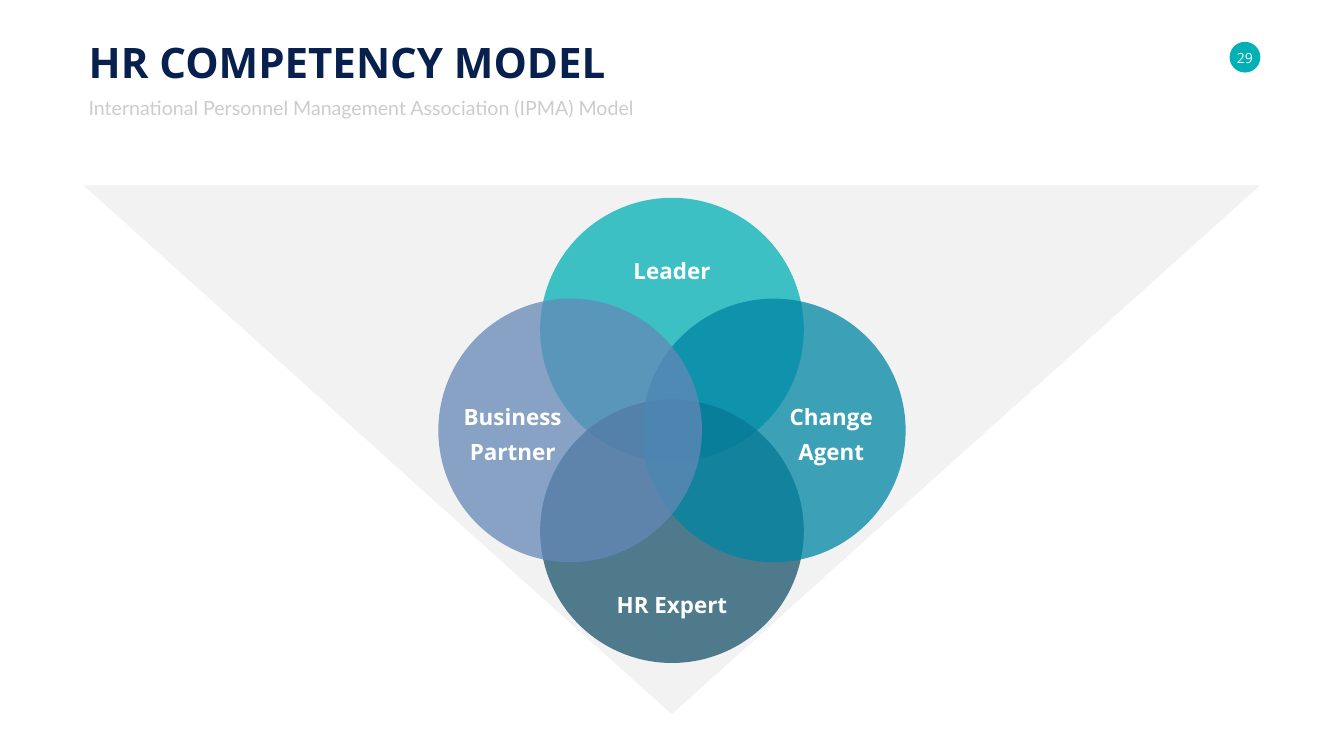
from dataclasses import dataclass

from lxml import etree
from pptx import Presentation
from pptx import util as u
from pptx.dml.color import RGBColor
from pptx.enum import shapes, text
from pptx.oxml.ns import qn

COLORS = {
    "teal": "00B0B5",
    "slate": "18526A",
    "ocean": "0085A4",
    "periwinkle": "6488B7",
    "navy": "08204D",
    "silver": "CCCCCC",
    "pale": "F2F2F2",
    "white": "FFFFFF",
}
CENTER_X, CENTER_Y = 13.33, 8.54
DIAMETER = 5.23
OPACITY = 75


@dataclass
class Competency:
    """A circle and its label, both placed relative to the diagram's centre."""
    label: str
    color: str
    circle_offset: tuple[float, float]
    label_offset: tuple[float, float]
    label_size: tuple[float, float]


@dataclass
class TextStyle:
    size: int
    color: str
    font: str = "Open Sans"
    bold: bool = False
    align: text.PP_ALIGN = text.PP_ALIGN.LEFT
    anchor: text.MSO_ANCHOR = text.MSO_ANCHOR.TOP
    line_spacing: int | None = None
    margins: bool = True


COMPETENCIES = [
    Competency("Leader", "teal", (0, -2), (0, -3.25), (1.74, 0.74)),
    Competency("HR Expert", "slate", (0, 2), (0, 3.38), (2.42, 0.74)),
    Competency("Change\nAgent", "ocean", (2.02, 0), (3.16, 0), (1.87, 1.44)),
    Competency("Business\nPartner", "periwinkle", (-2.02, 0), (-3.16, 0), (2.16, 1.44)),
]

TITLE = TextStyle(60, "navy", bold=True)
SUBTITLE = TextStyle(28, "silver", font="Lato", line_spacing=35)
NUMBER = TextStyle(20, "white", align=text.PP_ALIGN.CENTER,
                   anchor=text.MSO_ANCHOR.MIDDLE, margins=False)
LABEL = TextStyle(32, "white", bold=True, align=text.PP_ALIGN.CENTER,
                  anchor=text.MSO_ANCHOR.MIDDLE, line_spacing=50)


def add_filled_shape(slide, kind, left: float, top: float, width: float,
                     height: float, color: str, opacity: int = 100):
    shape = slide.shapes.add_shape(kind, u.Inches(left), u.Inches(top),
                                   u.Inches(width), u.Inches(height))
    shape.shadow.inherit = False
    shape.line.fill.background()
    shape.fill.solid()
    shape.fill.fore_color.rgb = RGBColor.from_string(COLORS[color])
    if opacity < 100:
        color_element = shape._element.spPr.find(qn("a:solidFill"))[0]
        etree.SubElement(color_element, qn("a:alpha"), val=str(opacity * 1000))
    return shape


def add_text(slide, content: str, left: float, top: float, width: float,
             height: float, style: TextStyle) -> None:
    box = slide.shapes.add_textbox(u.Inches(left), u.Inches(top),
                                   u.Inches(width), u.Inches(height))
    frame = box.text_frame
    frame.text = content
    frame.word_wrap = False
    frame.auto_size = text.MSO_AUTO_SIZE.SHAPE_TO_FIT_TEXT
    frame.vertical_anchor = style.anchor
    if not style.margins:
        frame.margin_left = frame.margin_right = 0
        frame.margin_top = frame.margin_bottom = 0
    for paragraph in frame.paragraphs:
        paragraph.alignment = style.align
        if style.line_spacing:
            paragraph.line_spacing = u.Pt(style.line_spacing)
        for run in paragraph.runs:
            run.font.name = style.font
            run.font.size = u.Pt(style.size)
            run.font.bold = style.bold
            run.font.color.rgb = RGBColor.from_string(COLORS[style.color])


def add_circle(slide, competency: Competency) -> None:
    dx, dy = competency.circle_offset
    add_filled_shape(slide, shapes.MSO_SHAPE.OVAL,
                     CENTER_X + dx - DIAMETER / 2, CENTER_Y + dy - DIAMETER / 2,
                     DIAMETER, DIAMETER, competency.color, OPACITY)


def add_label(slide, competency: Competency) -> None:
    dx, dy = competency.label_offset
    width, height = competency.label_size
    add_text(slide, competency.label, CENTER_X + dx - width / 2,
             CENTER_Y + dy - height / 2, width, height, LABEL)


def main() -> None:
    presentation = Presentation()
    presentation.slide_width = u.Inches(26.66)
    presentation.slide_height = u.Inches(15)
    slide = presentation.slides.add_slide(presentation.slide_layouts[6])

    # Page number badge
    add_filled_shape(slide, shapes.MSO_SHAPE.OVAL, 24.39, 0.83, 0.61, 0.61, "teal")
    add_text(slide, "29", 24.52, 0.97, 0.35, 0.34, NUMBER)

    # Heading
    add_text(slide, "HR COMPETENCY MODEL", 1.66, 0.67, 10.56, 1.11, TITLE)
    add_text(slide, "International Personnel Management Association (IPMA) Model",
             1.66, 1.84, 11.07, 0.55, SUBTITLE)

    # Downward triangle behind the diagram
    triangle = add_filled_shape(slide, shapes.MSO_SHAPE.ISOSCELES_TRIANGLE,
                                1.66, 3.68, 23.33, 10.49, "pale")
    triangle.rotation = 180

    # Overlapping circles, with all labels on top
    for competency in COMPETENCIES:
        add_circle(slide, competency)
    for competency in COMPETENCIES:
        add_label(slide, competency)

    presentation.save("out.pptx")


if __name__ == "__main__":
    main()
